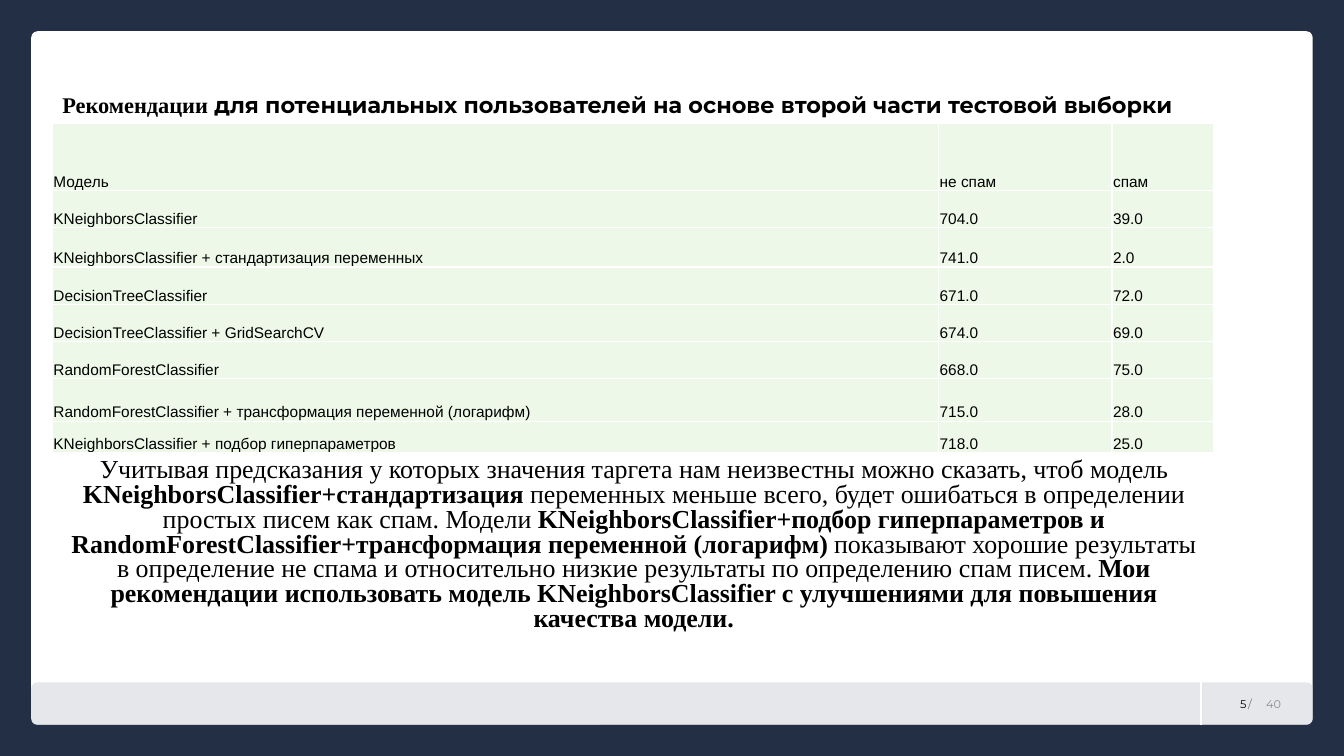
from lxml.etree import SubElement
from pptx import Presentation
from pptx.dml.color import RGBColor
from pptx.enum.shapes import MSO_CONNECTOR, MSO_SHAPE
from pptx.enum.text import MSO_ANCHOR, PP_ALIGN
from pptx.oxml.ns import qn
from pptx.util import Inches, Pt

COLORS = {
    "navy": "232F44",
    "white": "FFFFFF",
    "bar": "D5D8DD",
    "black": "000000",
    "gray": "8C8C8C",
    "mint": "EDF8E8",
}
SERIF, SANS, HEADING = "Times New Roman", "Arial", "Montserrat"

TITLE = [
    ("Рекомендации", SERIF, True),
    (" для потенциальных пользователей на основе второй части тестовой выборки", HEADING, True),
]
MODELS = [
    ("Модель", "не спам", "спам"),
    ("KNeighborsClassifier", "704.0", "39.0"),
    ("KNeighborsClassifier + стандартизация переменных", "741.0", "2.0"),
    ("DecisionTreeClassifier", "671.0", "72.0"),
    ("DecisionTreeClassifier + GridSearchCV", "674.0", "69.0"),
    ("RandomForestClassifier", "668.0", "75.0"),
    ("RandomForestClassifier + трансформация переменной (логарифм)", "715.0", "28.0"),
    ("KNeighborsClassifier + подбор гиперпараметров", "718.0", "25.0"),
]
COL_WIDTHS = [8.79, 1.72, 1.01]
ROW_HEIGHTS = [0.67, 0.37, 0.39, 0.37, 0.37, 0.37, 0.42, 0.31]
ADVICE = [
    ("Учитывая предсказания у которых значения таргета нам неизвестны можно сказать, чтоб модель ", SERIF, False),
    ("KNeighborsClassifier+стандартизация ", SERIF, True),
    ("переменных меньше всего, будет ошибаться в определении простых писем как спам. Модели ", SERIF, False),
    ("KNeighborsClassifier+подбор гиперпараметров и RandomForestClassifier+трансформация "
     "переменной (логарифм) ", SERIF, True),
    ("показывают хорошие результаты в определение не спама и относительно низкие результаты "
     "по определению спам писем. ", SERIF, False),
    ("Мои рекомендации использовать модель KNeighborsClassifier с улучшениями "
     "для повышения качества модели.", SERIF, True),
]


def rgb(name):
    return RGBColor.from_string(COLORS[name])


def set_alpha(fill, percent):
    color = fill._xPr.find(qn("a:solidFill"))[0]
    SubElement(color, qn("a:alpha"), val=str(percent * 1000))


def add_panel(s, box, color, radius, alpha=100):
    sp = s.shapes.add_shape(MSO_SHAPE.ROUNDED_RECTANGLE, *map(Inches, box))
    sp.adjustments[0] = radius
    sp.shadow.inherit = False
    sp.line.fill.background()
    sp.fill.solid()
    sp.fill.fore_color.rgb = rgb(color)
    if alpha < 100:
        set_alpha(sp.fill, alpha)


def add_text(s, box, runs, size, color="black", anchor=MSO_ANCHOR.TOP,
             align=PP_ALIGN.LEFT, spacing=1.0, wrap=True):
    tf = s.shapes.add_textbox(*map(Inches, box)).text_frame
    tf.word_wrap = wrap
    tf.vertical_anchor = anchor
    p = tf.paragraphs[0]
    p.alignment = align
    p.line_spacing = spacing
    for text, font, bold in runs:
        r = p.add_run()
        r.text = text
        r.font.name = font
        r.font.size = Pt(size)
        r.font.bold = bold
        r.font.color.rgb = rgb(color)
    return tf


def add_footer(s, left, top, width, height):
    add_panel(s, (left, top, width, height), "bar", 0.139, 60)
    x = left + 11.6
    divider = s.shapes.add_connector(
        MSO_CONNECTOR.STRAIGHT, Inches(x), Inches(top), Inches(x), Inches(top + height))
    divider.line.color.rgb = rgb("white")
    divider.line.width = Pt(1.5)
    SubElement(divider._element.spPr, qn("a:effectLst"))

    slash = add_text(s, (x + 0.47, top + 0.09, 0.09, 0.24), [("/", HEADING, False)], 8,
                     anchor=MSO_ANCHOR.MIDDLE, wrap=False)
    slash.margin_left = slash.margin_right = 0
    set_alpha(slash.paragraphs[0].runs[0].font.fill, 50)
    add_text(s, (x + 0.55, top + 0.07, 0.5, 0.28), [("40", HEADING, False)], 8, "gray",
             MSO_ANCHOR.MIDDLE)
    add_text(s, (x + 0.13, top + 0.07, 0.42, 0.28), [("5", HEADING, False)], 8,
             anchor=MSO_ANCHOR.MIDDLE, align=PP_ALIGN.RIGHT)


def style_cell(cell, text):
    cell.text = text
    cell.vertical_anchor = MSO_ANCHOR.BOTTOM
    cell.margin_left = cell.margin_right = cell.margin_top = Inches(0.01)
    cell.margin_bottom = 0
    font = cell.text_frame.paragraphs[0].runs[0].font
    font.name, font.size, font.bold = SANS, Pt(11), False
    font.color.rgb = rgb("black")
    tcPr = cell._tc.get_or_add_tcPr()
    for side in ("lnL", "lnR", "lnT", "lnB"):
        ln = SubElement(tcPr, qn(f"a:{side}"), w=str(Pt(1)))
        SubElement(SubElement(ln, qn("a:solidFill")), qn("a:srgbClr"), val=COLORS["white"])
    cell.fill.solid()
    cell.fill.fore_color.rgb = rgb("mint")


def add_models_table(s, left, top, width, height):
    table = s.shapes.add_table(
        len(MODELS), len(COL_WIDTHS), *map(Inches, (left, top, width, height))).table
    table.first_row = table.horz_banding = False
    for column, w in zip(table.columns, COL_WIDTHS):
        column.width = Inches(w)
    for row, h, values in zip(table.rows, ROW_HEIGHTS, MODELS):
        row.height = Inches(h)
        for cell, value in zip(row.cells, values):
            style_cell(cell, value)


def build_slide(prs):
    s = prs.slides.add_slide(prs.slide_layouts[6])
    s.background.fill.solid()
    s.background.fill.fore_color.rgb = rgb("navy")
    add_panel(s, (0.31, 0.31, 12.71, 6.88), "white", 0.009)
    add_footer(s, 0.31, 6.77, 12.71, 0.42)
    add_text(s, (0.52, 0.4, 11.5, 0.82), TITLE, 16, anchor=MSO_ANCHOR.BOTTOM, spacing=0.9)
    add_text(s, (0.53, 4.5, 11.51, 1.96), ADVICE, 18.5, align=PP_ALIGN.CENTER, spacing=0.8)
    add_models_table(s, 0.52, 1.22, sum(COL_WIDTHS), sum(ROW_HEIGHTS))


def main():
    prs = Presentation()
    prs.slide_width, prs.slide_height = Inches(13.33), Inches(7.5)
    build_slide(prs)
    prs.save("out.pptx")


if __name__ == "__main__":
    main()
